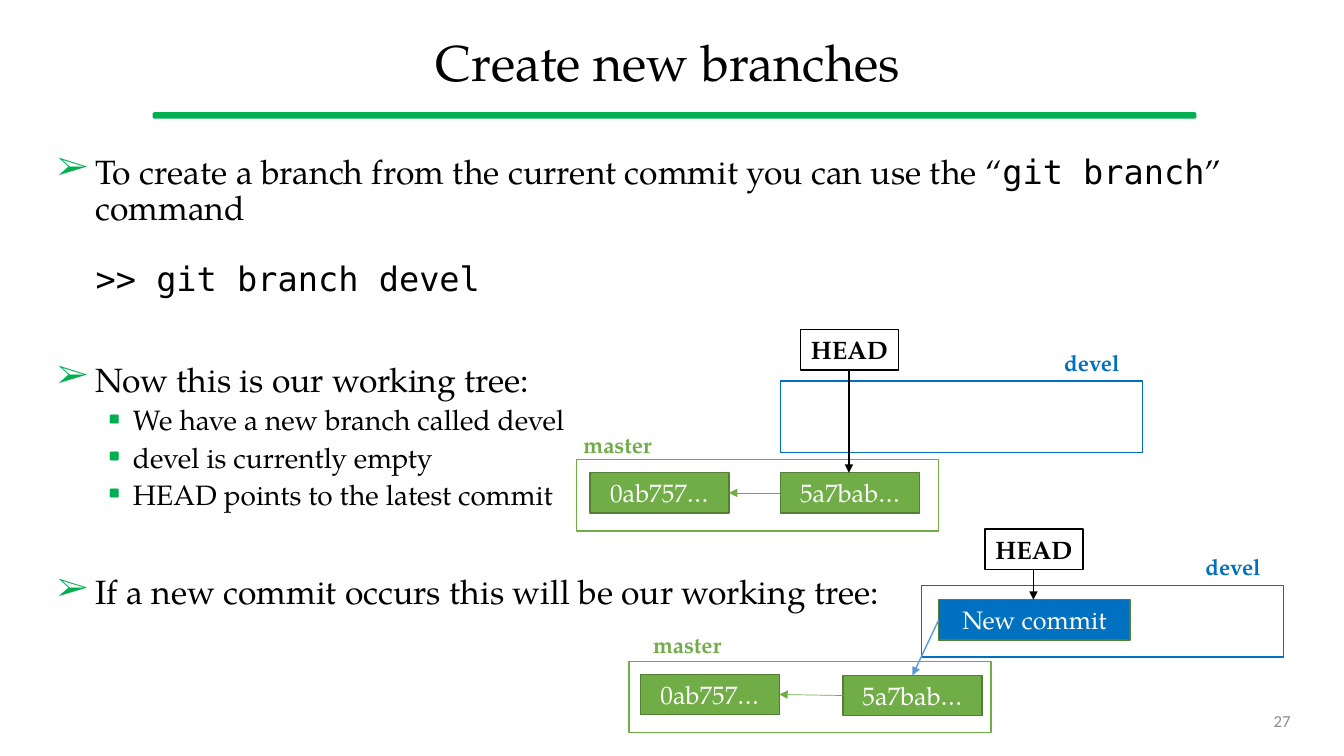
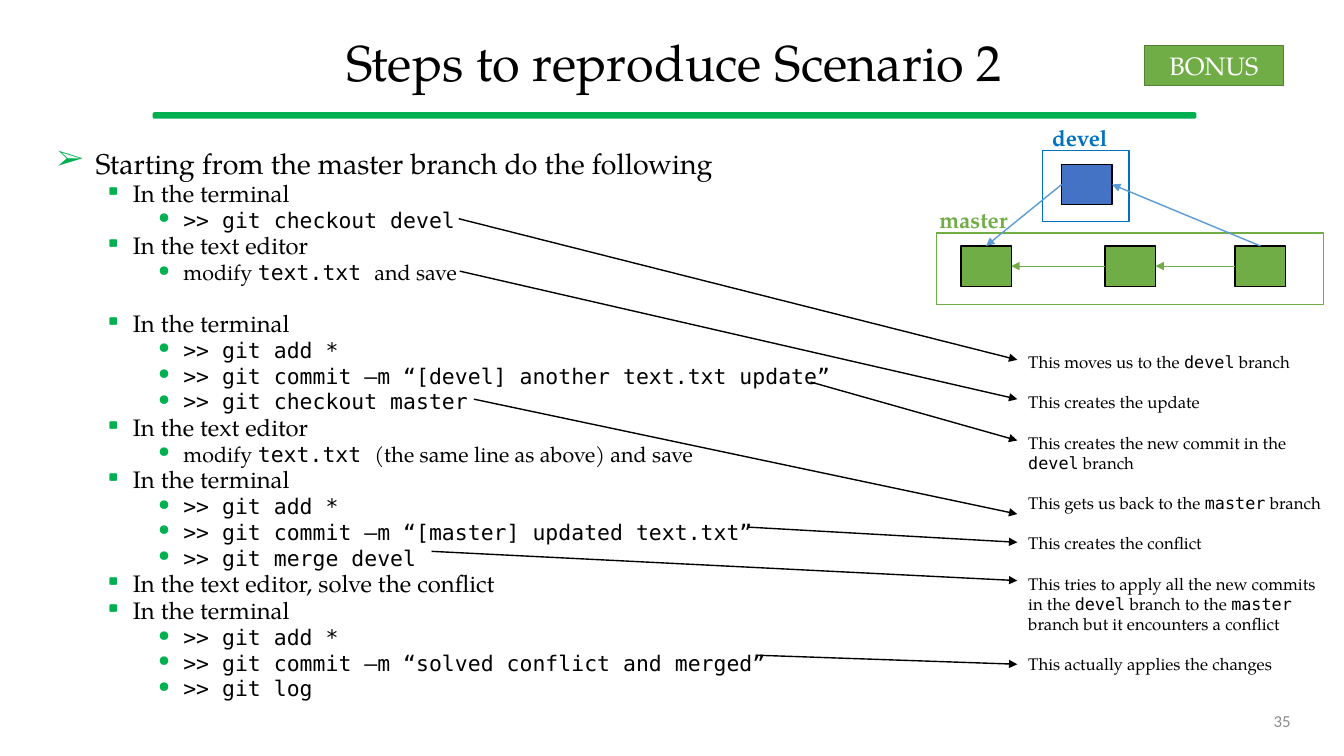
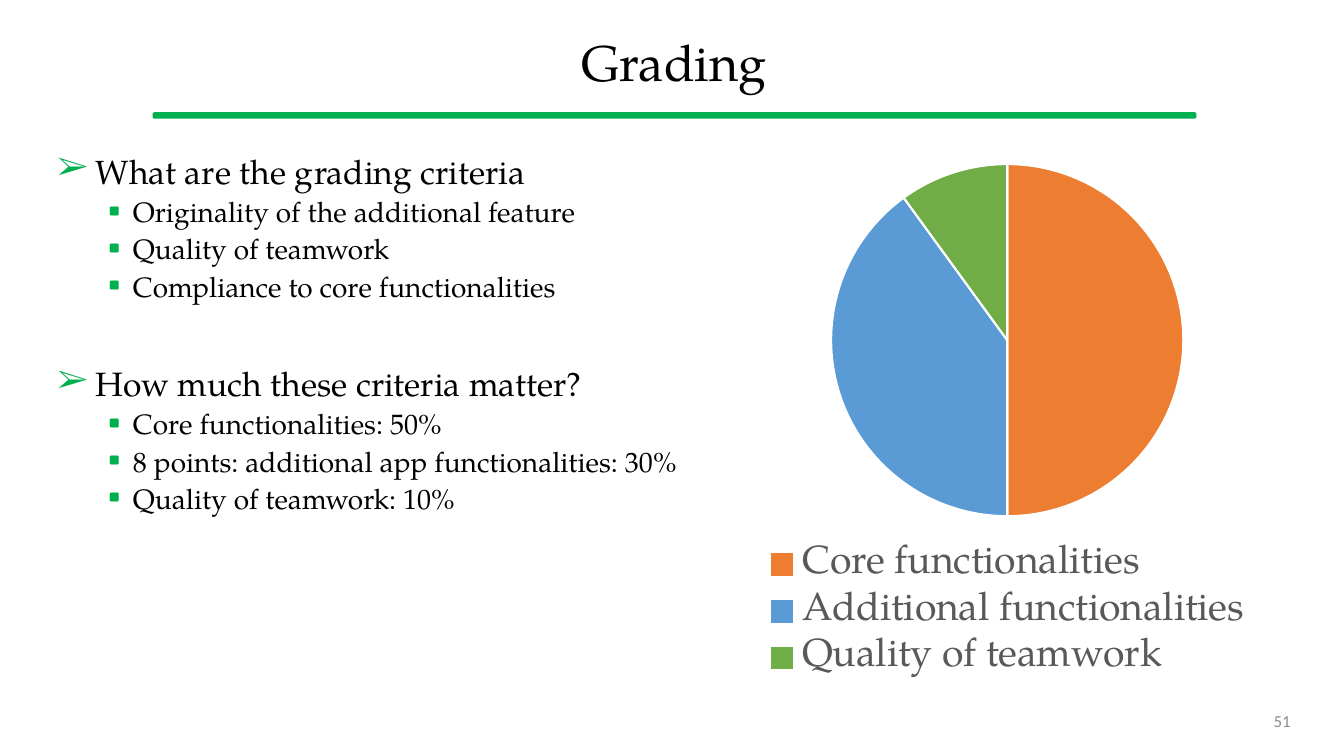
from dataclasses import dataclass, replace

from lxml.etree import SubElement
from pptx import Presentation
from pptx.chart.data import CategoryChartData
from pptx.dml.color import RGBColor
from pptx.enum.chart import XL_CHART_TYPE, XL_LEGEND_POSITION
from pptx.enum.shapes import MSO_CONNECTOR, MSO_SHAPE
from pptx.enum.text import MSO_ANCHOR, PP_ALIGN
from pptx.oxml.ns import qn
from pptx.util import Pt

PX = 9144
SERIF, MONO, SANS = "TeX Gyre Pagella", "DejaVu Sans Mono", "Calibri"
BLACK, WHITE, GREY, LEGEND_GREY = "000000", "FFFFFF", "8C8C8C", "595959"
ACCENT, GREEN, DARK_GREEN = "00B050", "70AD47", "538035"
BLUE, LIGHT_BLUE, NODE_BLUE, ORANGE = "0070C0", "5B9BD5", "4472C4", "ED7D31"
BRANCH_WIDTH, BRANCH_HEIGHT = 359, 71
COMMIT_WIDTH, BOX_HEIGHT, HEAD_WIDTH, NODE_WIDTH = 138, 40, 97, 50


@dataclass
class Level:
    """Look of one kind of body paragraph."""
    left: int
    hanging: int
    size: float
    before: float
    bullet: str


TOPIC = Level(38, 38, 24, 46, "➢")
COMMAND = Level(38, 0, 24, 25, "")
POINT = Level(75, 25, 20, 5, "▪")
LATER_POINT = replace(POINT, before=23)
STEP = Level(125, 25, 18, 5.4, "•")


def emu(*lengths):
    """Turn px lengths into EMU."""
    return [length * PX for length in lengths]


def rgb(colour):
    """Turn a hex string into a colour."""
    return RGBColor.from_string(colour)


def set_font(font, size, colour=BLACK, name=SERIF, bold=False):
    """Set size, colour, typeface and weight of a font."""
    font.size, font.name, font.bold = Pt(size), name, bold
    font.color.rgb = rgb(colour)


def add_spans(paragraph, text):
    """Add text, with the parts between backticks in monospace."""
    for index, part in enumerate(text.split("`")):
        if part:
            span = paragraph.add_run()
            span.text = part
            if index % 2:
                span.font.name = MONO


def add_box(page, left, top, width, height):
    """Add an empty wrapping text box and return its frame."""
    frame = page.shapes.add_textbox(*emu(left, top, width, height)).text_frame
    frame.word_wrap = True
    return frame


def add_line_text(frame, text, size, colour=BLACK, name=SERIF, bold=False,
                  align=PP_ALIGN.CENTER):
    """Write one vertically centred line into a frame."""
    frame.vertical_anchor = MSO_ANCHOR.MIDDLE
    paragraph = frame.paragraphs[0]
    paragraph.alignment = align
    set_font(paragraph.font, size, colour, name, bold)
    add_spans(paragraph, text)
    return paragraph


def add_rect(page, left, top, width, height, fill=None, line=BLACK,
             preset=MSO_SHAPE.RECTANGLE):
    """Add a flat outlined shape, unfilled by default."""
    rect = page.shapes.add_shape(preset, *emu(left, top, width, height))
    rect.shadow.inherit = False
    if fill:
        rect.fill.solid()
        rect.fill.fore_color.rgb = rgb(fill)
    else:
        rect.fill.background()
    rect.line.color.rgb = rgb(line)
    rect.line.width = Pt(1)
    return rect


def add_arrow(page, start, end, colour=BLACK, width=1):
    """Add a straight arrow between two points."""
    arrow = page.shapes.add_connector(MSO_CONNECTOR.STRAIGHT, *emu(*start, *end))
    arrow.line.color.rgb = rgb(colour)
    arrow.line.width = Pt(width)
    properties = arrow.element.spPr
    SubElement(properties.find(qn("a:ln")), qn("a:tailEnd"), type="triangle")
    SubElement(properties, qn("a:effectLst"))


def add_page(deck, title, number):
    """Add a slide with title, green rule and page number."""
    page = deck.slides.add_slide(deck.slide_layouts[6])
    rule = add_rect(page, 152, 112, 1034, 5, ACCENT, ACCENT,
                    MSO_SHAPE.ROUNDED_RECTANGLE)
    rule.adjustments[0] = 0.26
    heading = add_line_text(add_box(page, 47, 18, 1243, 94), title, 36)
    heading.line_spacing = 0.9
    add_line_text(add_box(page, 942, 695, 348, 40), str(number), 12, GREY, SANS,
                  align=PP_ALIGN.RIGHT)
    return page


def add_bullet(paragraph, level):
    """Indent a paragraph and give it the bullet of its level."""
    properties = paragraph._p.get_or_add_pPr()
    properties.set("marL", str(level.left * PX))
    properties.set("indent", str(-level.hanging * PX))
    if level.bullet:
        colour = SubElement(properties, qn("a:buClr"))
        SubElement(colour, qn("a:srgbClr"), val=ACCENT)
        SubElement(properties, qn("a:buFont"), typeface=SERIF)
        SubElement(properties, qn("a:buChar"), char=level.bullet)


def add_body(page, items, width=1243, scale=1.0, spacing=0.9):
    """Add the outline of a slide from (level, text) pairs."""
    frame = add_box(page, 47, 149, width, 583)
    for index, (level, text) in enumerate(items):
        paragraph = frame.add_paragraph() if index else frame.paragraphs[0]
        add_bullet(paragraph, level)
        paragraph.line_spacing = spacing
        if index:
            paragraph.space_before = Pt(level.before)
        name = MONO if text.startswith(">>") else SERIF
        set_font(paragraph.font, level.size * scale, name=name)
        add_spans(paragraph, text)


def add_notes_column(page, notes):
    """Add the column of explanations beside the steps."""
    frame = add_box(page, 1010, 344, 314, 333)
    for index, text in enumerate(notes):
        paragraph = frame.add_paragraph() if index else frame.paragraphs[0]
        if index:
            paragraph.space_before = Pt(14.4)
        set_font(paragraph.font, 12)
        add_spans(paragraph, text)


def add_commit(page, left, top, text, width=COMMIT_WIDTH, fill=GREEN):
    """Add a filled box with a white label."""
    commit = add_rect(page, left, top, width, BOX_HEIGHT, fill, DARK_GREEN)
    add_line_text(commit.text_frame, text, 18, WHITE)


def add_head(page, left, top, tip):
    """Add the HEAD box with its arrow down to a height."""
    head = add_rect(page, left, top, HEAD_WIDTH, BOX_HEIGHT, WHITE)
    head.text_frame.word_wrap = False
    add_line_text(head.text_frame, "HEAD", 18, bold=True)
    centre = left + HEAD_WIDTH // 2
    add_arrow(page, (centre, top + BOX_HEIGHT), (centre, tip))


def add_branch(page, name, left, top, label_at, width=BRANCH_WIDTH):
    """Add a branch frame and its name."""
    colour, label_width = {"master": (GREEN, 89), "devel": (BLUE, 76)}[name]
    add_rect(page, left, top, width, BRANCH_HEIGHT, line=colour)
    frame = add_box(page, *label_at, label_width, 37)
    frame.word_wrap = False
    add_line_text(frame, name, 16, colour, bold=True)


def add_commit_pair(page, first, second):
    """Add the two master commits, the later pointing to the earlier."""
    add_commit(page, *first, "0ab757…")
    add_commit(page, *second, "5a7bab…")
    middle = BOX_HEIGHT // 2
    add_arrow(page, (second[0], second[1] + middle),
              (first[0] + COMMIT_WIDTH, first[1] + middle), GREEN, 0.5)


def add_node(page, left, top, fill=GREEN):
    """Add an unnamed commit."""
    add_rect(page, left, top, NODE_WIDTH, BOX_HEIGHT, fill)


def build_branches(deck):
    """Build the slide on creating branches."""
    page = add_page(deck, "Create new branches ", 27)
    add_body(page, [
        (TOPIC, "To create a branch from the current commit you can use the "
                "“`git branch`” command"),
        (COMMAND, ">> git branch devel"),
        (TOPIC, "Now this is our working tree:"),
        (POINT, "We have a new branch called devel"),
        (POINT, "devel is currently empty"),
        (POINT, "HEAD points to the latest commit"),
        (TOPIC, "If a new commit occurs this will be our working tree:"),
    ])
    add_branch(page, "master", 572, 456, (568, 423))
    add_branch(page, "devel", 774, 378, (1045, 341))
    add_commit_pair(page, (585, 469), (774, 469))
    add_head(page, 794, 327, 469)

    add_branch(page, "master", 624, 656, (637, 621))
    add_branch(page, "devel", 914, 581, (1185, 544))
    add_commit_pair(page, (635, 669), (836, 670))
    add_commit(page, 931, 595, "New commit", 190, BLUE)
    add_head(page, 977, 525, 595)
    add_arrow(page, (931, 615), (905, 670), LIGHT_BLUE)


def add_scenario_tree(page):
    """Draw the diverging devel and master branches."""
    devel_left, devel_top, master_top = 1053, 163, 244
    master_lefts = [953, 1096, 1225]
    half, middle = NODE_WIDTH // 2, BOX_HEIGHT // 2
    add_branch(page, "master", 929, 231, (921, 199), 384)
    add_branch(page, "devel", 1034, 149, (1033, 118), 86)
    add_node(page, devel_left, devel_top, NODE_BLUE)
    for left in master_lefts:
        add_node(page, left, master_top)
    for earlier, later in zip(master_lefts, master_lefts[1:]):
        add_arrow(page, (later, master_top + middle),
                  (earlier + NODE_WIDTH, master_top + middle), GREEN, 0.5)
    add_arrow(page, (master_lefts[-1] + half, master_top),
              (devel_left + NODE_WIDTH, devel_top + middle), LIGHT_BLUE)
    add_arrow(page, (devel_left, devel_top + middle),
              (master_lefts[0] + half, master_top), LIGHT_BLUE)


def build_scenario(deck):
    """Build the slide with the steps of the conflict."""
    page = add_page(deck, "Steps to reproduce Scenario 2", 35)
    add_body(page, [
        (TOPIC, "Starting from the master branch do the following"),
        (POINT, "In the terminal"),
        (STEP, ">> git checkout devel"),
        (POINT, "In the text editor"),
        (STEP, "modify `text.txt `and save"),
        (LATER_POINT, "In the terminal"),
        (STEP, ">> git add *"),
        (STEP, ">> git commit –m “[devel] another text.txt update”"),
        (STEP, ">> git checkout master"),
        (POINT, "In the text editor"),
        (STEP, "modify `text.txt `(the same line as above) and save"),
        (POINT, "In the terminal"),
        (STEP, ">> git add *"),
        (STEP, ">> git commit –m “[master] updated text.txt”"),
        (STEP, ">> git merge devel"),
        (POINT, "In the text editor, solve the conflict"),
        (POINT, "In the terminal"),
        (STEP, ">> git add *"),
        (STEP, ">> git commit –m “solved conflict and merged”"),
        (STEP, ">> git log"),
    ], width=1126, scale=0.85, spacing=0.7)
    add_commit(page, 1135, 45, "BONUS")
    add_scenario_tree(page)
    add_notes_column(page, [
        "This moves us to the `devel` branch",
        "This creates the update",
        "This creates the new commit in the `devel` branch",
        "This gets us back to the `master` branch",
        "This creates the conflict",
        "This tries to apply all the new commits in the `devel` branch "
        "to the `master` branch but it encounters a conflict",
        "This actually applies the changes",
    ])
    for left, top, note_top in [(455, 217, 357), (456, 269, 396), (804, 379, 437),
                                (470, 396, 510), (743, 523, 538), (428, 547, 576),
                                (750, 650, 659)]:
        add_arrow(page, (left, top), (1009, note_top))


def add_pie(page, shares):
    """Add the pie of (category, value, colour) shares."""
    data = CategoryChartData()
    data.categories = [category for category, _, _ in shares]
    data.add_series("Series 1", [value for _, value, _ in shares])
    chart = page.shapes.add_chart(XL_CHART_TYPE.PIE, *emu(697, 149, 604, 531),
                                  data).chart
    set_font(chart.font, 10, name=SANS)
    chart.has_title = False
    chart.has_legend = True
    chart.legend.position = XL_LEGEND_POSITION.BOTTOM
    chart.legend.include_in_layout = False
    set_font(chart.legend.font, 28, LEGEND_GREY)
    plot = chart.plots[0]
    plot.vary_by_categories = True
    for index, (_, _, colour) in enumerate(shares):
        look = plot.series[0].points[index].format
        look.fill.solid()
        look.fill.fore_color.rgb = rgb(colour)
        look.line.color.rgb = rgb(WHITE)
        look.line.width = Pt(1.5)


def build_grading(deck):
    """Build the slide on grading."""
    page = add_page(deck, "Grading", 51)
    add_body(page, [
        (TOPIC, "What are the grading criteria"),
        (POINT, "Originality of the additional feature"),
        (POINT, "Quality of teamwork"),
        (POINT, "Compliance to core functionalities"),
        (TOPIC, "How much these criteria matter?"),
        (POINT, "Core functionalities: 50%"),
        (POINT, "8 points: additional app functionalities: 30%"),
        (POINT, "Quality of teamwork: 10%"),
    ])
    add_pie(page, [
        ("Core functionalities", 50, ORANGE),
        ("Additional functionalities", 40, LIGHT_BLUE),
        ("Quality of teamwork", 10, GREEN),
    ])


def main():
    """Build and save the deck."""
    deck = Presentation()
    deck.slide_width, deck.slide_height = emu(1333, 750)
    build_branches(deck)
    build_scenario(deck)
    build_grading(deck)
    deck.save("out.pptx")


if __name__ == "__main__":
    main()
